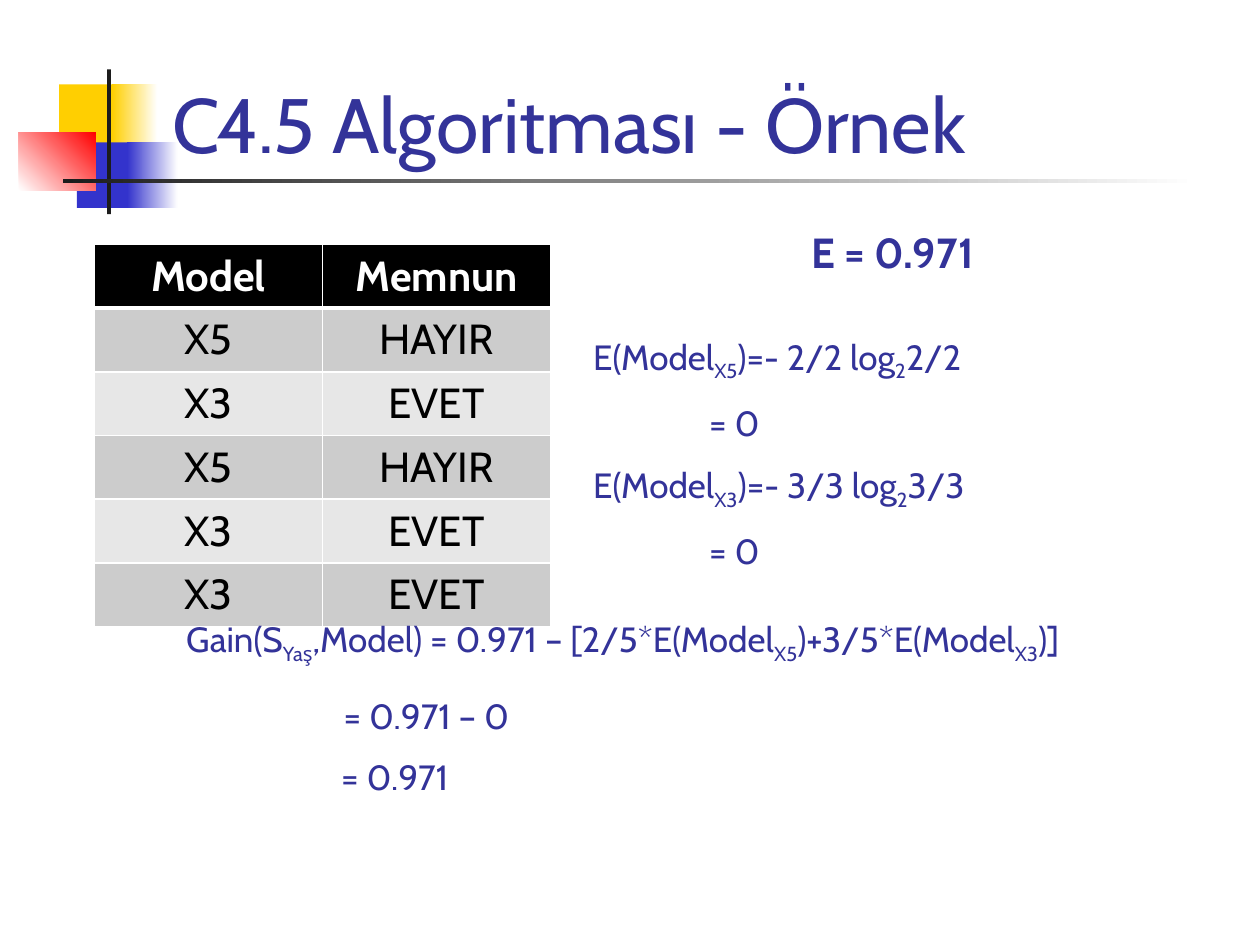
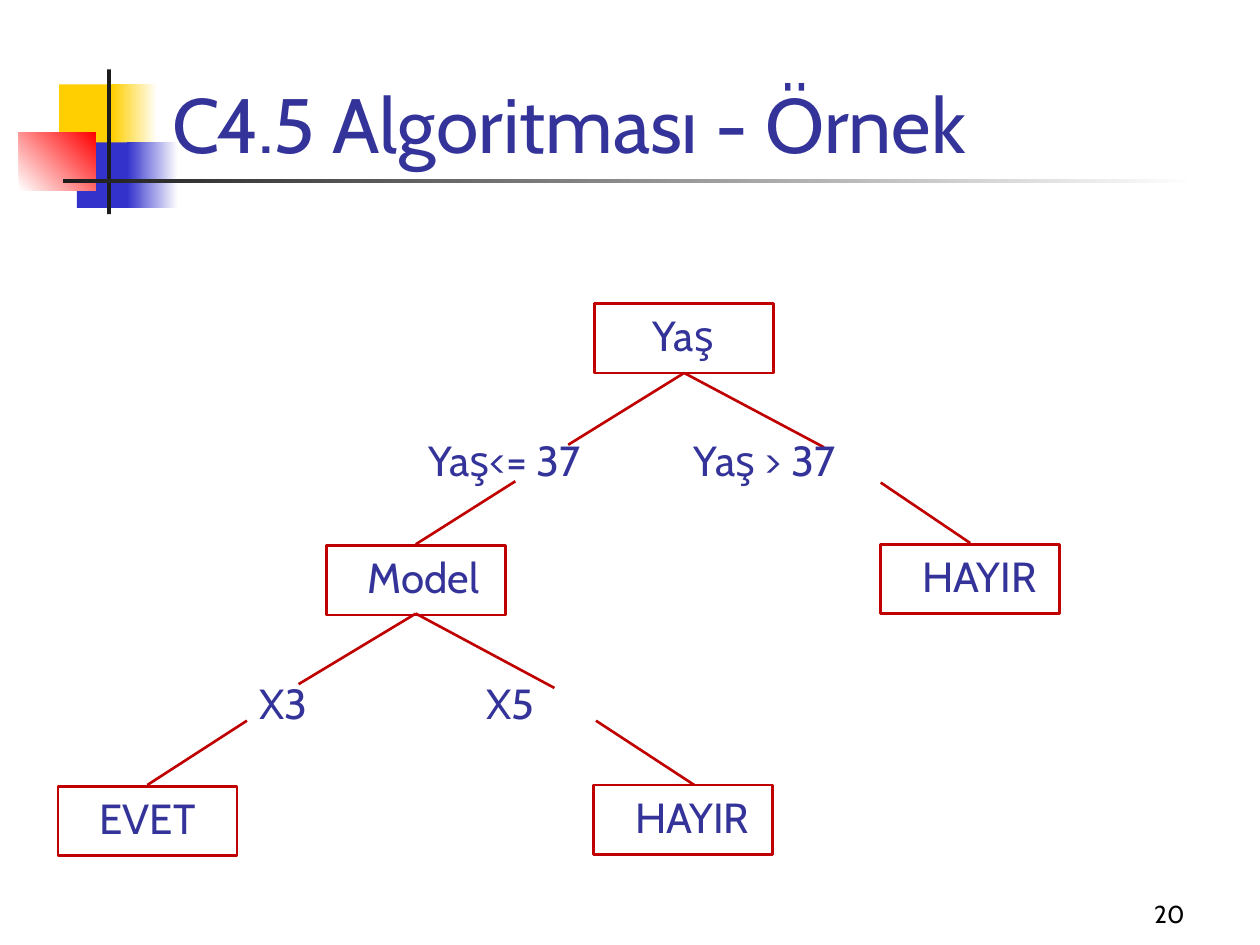
from lxml.etree import SubElement
from pptx import Presentation
from pptx.dml.color import RGBColor
from pptx.enum.shapes import MSO_CONNECTOR, MSO_SHAPE
from pptx.enum.text import MSO_ANCHOR, MSO_AUTO_SIZE, PP_ALIGN
from pptx.oxml.ns import qn
from pptx.util import Inches, Pt

FONT = "Cabin"
NAVY = RGBColor(0x33, 0x33, 0x99)
BLUE = RGBColor(0x33, 0x33, 0xCC)
YELLOW = RGBColor(0xFF, 0xCF, 0x01)
RED = RGBColor(0xFF, 0x00, 0x00)
DARK_RED = RGBColor(0xC0, 0x00, 0x00)
CHARCOAL = RGBColor(0x1C, 0x1C, 0x1C)
BLACK = RGBColor(0x00, 0x00, 0x00)
WHITE = RGBColor(0xFF, 0xFF, 0xFF)
GRAY = RGBColor(0xCC, 0xCC, 0xCC)
LIGHT_GRAY = RGBColor(0xE7, 0xE7, 0xE7)

TITLE = "C4.5 Algoritması - Örnek"
TITLE_BOX = (1.27, 0.14, 8.52, 1.25)
BANDS = [
    ((0.47, 0.67, 0.48, 0.52), [YELLOW], 0),
    ((0.89, 0.67, 0.36, 0.52), [YELLOW, WHITE], 0),
    ((0.61, 1.13, 0.46, 0.52), [BLUE], 0),
    ((1.01, 1.13, 0.4, 0.52), [BLUE, WHITE], 0),
    ((0.15, 1.05, 0.61, 0.46), [WHITE, RED], 45),
    ((0.85, 0.55, 0.03, 1.15), [CHARCOAL], 0),
    ((0.5, 1.42, 9, 0.03), [CHARCOAL, WHITE], 0),
]
MODEL_ROWS = [
    ("Model", "Memnun"),
    ("X5", "HAYIR"),
    ("X3", "EVET"),
    ("X5", "HAYIR"),
    ("X3", "EVET"),
    ("X3", "EVET"),
]
ENTROPIES = [
    (2.61, ["E(Model", "X5", ")=- 2/2 log", "2", "2/2"]),
    (3.63, ["E(Model", "X3", ")=- 3/3 log", "2", "3/3"]),
]
GAIN = ["Gain(S", "Yaş", ",Model) = 0.971 – [2/5*E(Model", "X5",
        ")+3/5*E(Model", "X3", ")]"]
NODES = [
    ("Yaş", 4.72, 2.41, 0.46),
    ("Model", 2.59, 4.33, 0.33),
    ("HAYIR", 6.99, 4.32, 0.33),
    ("EVET", 0.46, 6.24, 0.33),
    ("HAYIR", 4.71, 6.23, 0.33),
]
BRANCHES = [
    ((5.43, 2.96), (4.51, 3.53)),
    ((5.43, 2.96), (6.54, 3.55)),
    ((4.09, 3.82), (3.3, 4.32)),
    ((6.99, 3.83), (7.7, 4.31)),
    ((3.3, 4.87), (2.37, 5.43)),
    ((3.3, 4.87), (4.4, 5.46)),
    ((1.96, 5.72), (1.17, 6.23)),
    ((4.73, 5.72), (5.51, 6.23)),
]
BRANCH_LABELS = [
    ("Yaş<= 37", 3.3, 3.4),
    ("Yaş > 37", 5.41, 3.4),
    ("X3", 1.96, 5.33),
    ("X5", 3.76, 5.33),
]


def inches(values):
    return [Inches(v) for v in values]


def set_format(obj, **values):
    for name, value in values.items():
        setattr(obj, name, value)


def add_runs(p, parts, size=24, color=NAVY, bold=False):
    for i, text in enumerate(parts):
        r = p.add_run()
        r.text = text
        set_format(r.font, name=FONT, size=Pt(size), bold=bold)
        r.font.color.rgb = color
        if i % 2:
            r.font._element.set("baseline", "-25000")


def add_text(s, box, lines, align=PP_ALIGN.LEFT, anchor=MSO_ANCHOR.TOP, **style):
    tf = s.shapes.add_textbox(*inches(box)).text_frame
    set_format(tf, word_wrap=True, vertical_anchor=anchor)
    for i, (parts, indent, before) in enumerate(lines):
        p = tf.add_paragraph() if i else tf.paragraphs[0]
        p.alignment = align
        if i:
            p.space_before = Pt(before)
            p._p.get_or_add_pPr().set("marL", str(Inches(indent)))
        add_runs(p, parts, **style)


def add_label(s, box, text, **style):
    add_text(s, box, [([text], 0, 0)], **style)


def add_band(s, box, colors, angle):
    sp = s.shapes.add_shape(MSO_SHAPE.RECTANGLE, *inches(box))
    sp.shadow.inherit = False
    sp.line.fill.background()
    if len(colors) == 1:
        sp.fill.solid()
        sp.fill.fore_color.rgb = colors[0]
    else:
        sp.fill.gradient()
        sp.fill.gradient_angle = angle
        for stop, color in zip(sp.fill.gradient_stops, colors):
            stop.color.rgb = color
    return sp


def move_bands_to_layout(s):
    layout = s.slide_layout
    for ph in list(layout.placeholders)[1:]:
        ph.element.getparent().remove(ph.element)
    for band in BANDS:
        layout.shapes.element.append(add_band(s, *band).element)


def add_titled_slide(prs):
    s = prs.slides.add_slide(prs.slide_layouts[5])
    left, top, width, height = inches(TITLE_BOX)
    set_format(s.shapes.title, left=left, top=top, width=width, height=height)
    tf = s.shapes.title.text_frame
    set_format(tf, word_wrap=True, auto_size=MSO_AUTO_SIZE.NONE,
               vertical_anchor=MSO_ANCHOR.BOTTOM)
    p = tf.paragraphs[0]
    p.alignment = PP_ALIGN.LEFT
    add_runs(p, [TITLE], size=44)
    return s


def set_borders(cell, header):
    tcPr = cell._tc.get_or_add_tcPr()
    for i, side in enumerate(("lnL", "lnR", "lnT", "lnB")):
        width = 3 if header and side == "lnB" else 1
        ln = SubElement(tcPr, qn(f"a:{side}"), w=str(Pt(width)))
        fill = SubElement(ln, qn("a:solidFill"))
        SubElement(fill, qn("a:srgbClr"), val=str(WHITE))
        tcPr.insert(i, ln)


def add_model_table(s, box, rows):
    table = s.shapes.add_table(len(rows), len(rows[0]), *inches(box)).table
    for i, row in enumerate(rows):
        header = i == 0
        fill = BLACK if header else GRAY if i % 2 else LIGHT_GRAY
        for j, text in enumerate(row):
            cell = table.cell(i, j)
            cell.fill.solid()
            cell.fill.fore_color.rgb = fill
            set_borders(cell, header)
            p = cell.text_frame.paragraphs[0]
            p.alignment = PP_ALIGN.CENTER
            add_runs(p, [text], color=WHITE if header else BLACK, bold=header)


def add_node(s, text, left, top, indent):
    sp = s.shapes.add_shape(MSO_SHAPE.RECTANGLE, *inches((left, top, 1.42, 0.55)))
    sp.shadow.inherit = False
    sp.fill.background()
    sp.line.color.rgb = DARK_RED
    sp.line.width = Pt(1.5)
    tf = sp.text_frame
    set_format(tf, margin_left=Inches(indent), margin_right=0, word_wrap=True,
               vertical_anchor=MSO_ANCHOR.TOP)
    p = tf.paragraphs[0]
    p.alignment = PP_ALIGN.LEFT
    add_runs(p, [text])


def add_branch(s, start, end):
    line = s.shapes.add_connector(MSO_CONNECTOR.STRAIGHT, *inches(start + end))
    line.line.color.rgb = DARK_RED
    line.line.width = Pt(1.5)
    SubElement(line._element.spPr, qn("a:effectLst"))


def build_gain_slide(s):
    add_model_table(s, (0.75, 1.94, 3.62, 2.6), MODEL_ROWS)
    add_text(s, (1.38, 4.85, 7.8, 1.55),
             [(GAIN, 0, 0), (["= 0.971 – 0"], 1.25, 17), (["= 0.971"], 1.23, 10.5)],
             size=20)
    for top, formula in ENTROPIES:
        add_text(s, (4.61, top, 3.38, 0.94),
                 [(formula, 0, 0), (["= 0"], 0.92, 10.5)], size=20)
    add_label(s, (6.34, 1.75, 1.84, 0.5), "E = 0.971", bold=True)


def build_tree_slide(s):
    add_label(s, (7.42, 6.92, 2.08, 0.5), "20", align=PP_ALIGN.RIGHT,
              anchor=MSO_ANCHOR.BOTTOM, size=14, color=BLACK)
    for node in NODES:
        add_node(s, *node)
    for branch in BRANCHES:
        add_branch(s, *branch)
    for text, left, top in BRANCH_LABELS:
        add_label(s, (left, top, 1.6, 0.5), text)


def main():
    prs = Presentation()
    set_format(prs, slide_width=Inches(10), slide_height=Inches(7.5))
    gain_slide = add_titled_slide(prs)
    move_bands_to_layout(gain_slide)
    build_gain_slide(gain_slide)
    build_tree_slide(add_titled_slide(prs))
    prs.save("out.pptx")


if __name__ == "__main__":
    main()
